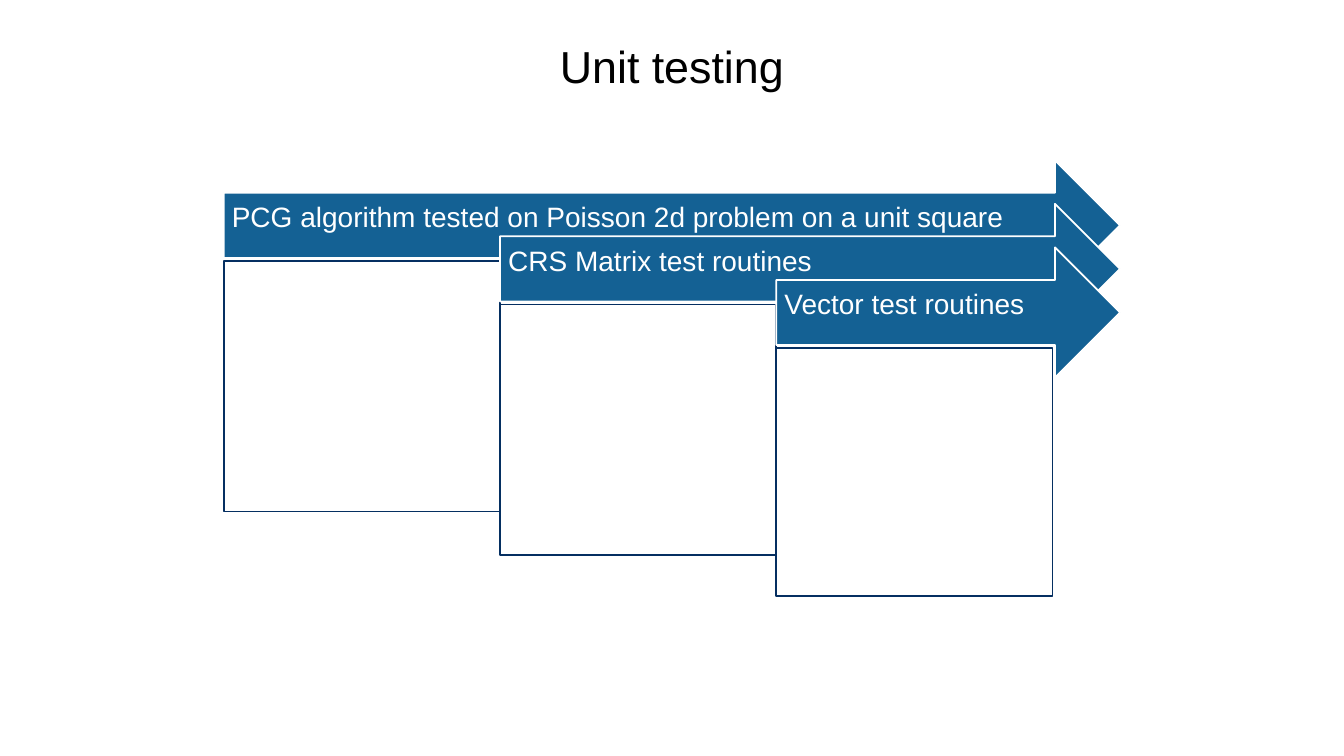
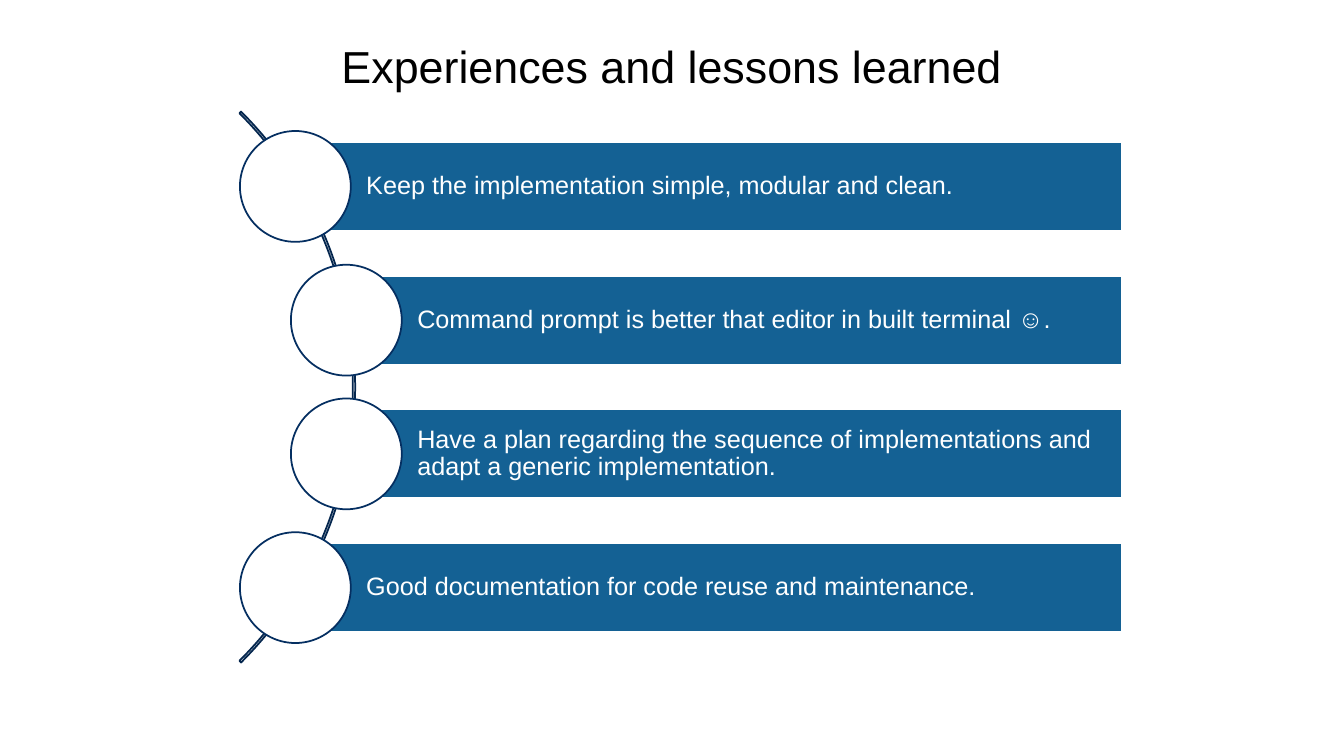
from dataclasses import dataclass

import pptx
import pptx.dml.color
import pptx.enum.shapes
import pptx.enum.text
import pptx.util

SHAPE = pptx.enum.shapes.MSO_SHAPE
ALIGN = pptx.enum.text.PP_ALIGN
MIDDLE = pptx.enum.text.MSO_ANCHOR.MIDDLE


@dataclass(frozen=True)
class Theme:
    width: float = 13.33
    height: float = 7.5
    font: str = "Arial"
    ink: str = "000000"
    paper: str = "FFFFFF"
    accent: str = "146194"
    outline: str = "052F61"
    arc: str = "04264E"
    title_size: int = 32
    arrow_size: int = 20
    bar_size: int = 18
    line_width: float = 1.25


THEME = Theme()


@dataclass(frozen=True)
class Box:
    left: float
    top: float
    width: float
    height: float

    def emu(self):
        lengths = (self.left, self.top, self.width, self.height)
        return [pptx.util.Inches(length) for length in lengths]


def grid_box(column, row, columns, rows):
    across, down = THEME.width / 100, THEME.height / 100
    return Box(column * across, row * down, columns * across, rows * down)


def apply(target, values):
    for name, value in values.items():
        setattr(target, name, value)


def rgb(code):
    return pptx.dml.color.RGBColor.from_string(code)


def write(shape, text, size, color, align, insets, spacing):
    frame = shape.text_frame
    sides = ("margin_left", "margin_top", "margin_right", "margin_bottom")
    apply(frame, {"text": text, "word_wrap": True, "vertical_anchor": MIDDLE})
    apply(frame, {side: pptx.util.Inches(inset) for side, inset in zip(sides, insets)})
    paragraph = frame.paragraphs[0]
    apply(paragraph, {"alignment": align, "line_spacing": spacing})
    font = paragraph.runs[0].font
    apply(font, {"name": THEME.font, "size": pptx.util.Pt(size)})
    font.color.rgb = rgb(color)


def draw(slide, kind, box, fill, line, adjustments=()):
    shape = slide.shapes.add_shape(kind, *box.emu())
    shape.shadow.inherit = False
    if fill:
        shape.fill.solid()
        shape.fill.fore_color.rgb = rgb(fill)
    else:
        shape.fill.background()
    shape.line.color.rgb = rgb(line)
    shape.line.width = pptx.util.Pt(THEME.line_width)
    for index, value in enumerate(adjustments):
        shape.adjustments[index] = value
    return shape


def titled_slide(deck, heading):
    slide = deck.slides.add_slide(deck.slide_layouts[5])
    title = slide.shapes.title
    places = ("left", "top", "width", "height")
    apply(title, dict(zip(places, grid_box(0, 4.4, 100, 8.53).emu())))
    write(title, heading, THEME.title_size, THEME.ink, ALIGN.CENTER,
          (0.1, 0.05, 0.1, 0.05), 1.0)
    return slide


def arrow_cascade(slide, box, routines):
    row = box.height / 10
    column = (box.width - 1.55 * row) / len(routines)
    for step, routine in enumerate(routines):
        left, top = box.left + step * column, box.top + step * row
        arrow_box = Box(left, top, box.width - step * column, 2.99 * row)
        arrow = draw(slide, SHAPE.RIGHT_ARROW, arrow_box, THEME.accent, THEME.paper)
        write(arrow, routine, THEME.arrow_size, THEME.paper, ALIGN.LEFT,
              (0.08, 0.08, 0.28, 0.21), 0.9)
        panel_rows = min(5.76, 10 - step - 2.31)
        panel = Box(left, top + 2.31 * row, column, panel_rows * row)
        draw(slide, SHAPE.RECTANGLE, panel, THEME.paper, THEME.outline)


def lesson_arc(slide, box, lessons):
    diameter = box.height / 4.62
    sweep = 7.03 * diameter
    arc_box = Box(box.left - 5.99 * diameter,
                  box.top + (box.height - sweep) / 2, sweep, sweep)
    draw(slide, SHAPE.BLOCK_ARC, arc_box, None, THEME.arc, (189, 27, 0.003))
    last = len(lessons) - 1
    pitch = (box.height - diameter) / last
    for index, lesson in enumerate(lessons):
        indent = 0.46 * diameter if 0 < index < last else 0
        left, top = box.left + indent, box.top + index * pitch
        bar_left = left + diameter / 2
        bar_box = Box(bar_left, top + 0.1 * diameter,
                      box.left + box.width - bar_left, 0.8 * diameter)
        bar = draw(slide, SHAPE.RECTANGLE, bar_box, THEME.accent, THEME.paper)
        write(bar, lesson, THEME.bar_size, THEME.paper, ALIGN.LEFT,
              (0.64 * diameter, 0.05, 0.05, 0.05), 0.9)
        draw(slide, SHAPE.OVAL, Box(left, top, diameter, diameter),
             THEME.paper, THEME.outline)


def main():
    deck = pptx.Presentation()
    apply(deck, {"slide_width": pptx.util.Inches(THEME.width),
                 "slide_height": pptx.util.Inches(THEME.height)})
    arrow_cascade(titled_slide(deck, "Unit testing"),
                  grid_box(16.65, 21.2, 66.69, 57.6), (
        "PCG algorithm tested on Poisson 2d problem on a unit square",
        "CRS Matrix test routines",
        "Vector test routines",
    ))
    lesson_arc(titled_slide(deck, "Experiences and lessons learned"),
               grid_box(17.85, 17.33, 65.64, 67.73), (
        "Keep the implementation simple, modular and clean.",
        "Command prompt is better that editor in built terminal ☺.",
        "Have a plan regarding the sequence of implementations and "
        "adapt a generic implementation.",
        "Good documentation for code reuse and maintenance.",
    ))
    deck.save("out.pptx")


if __name__ == "__main__":
    main()
